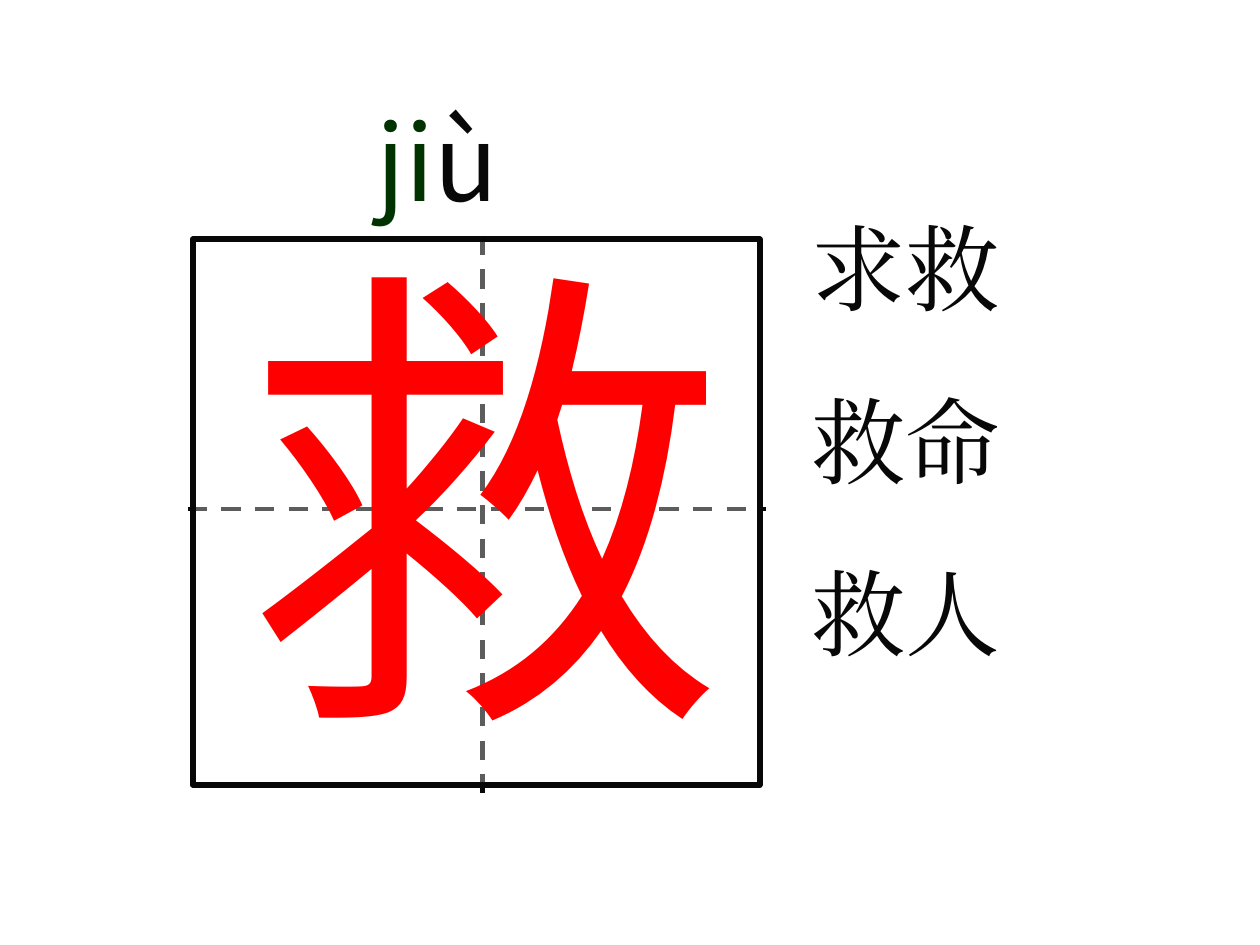
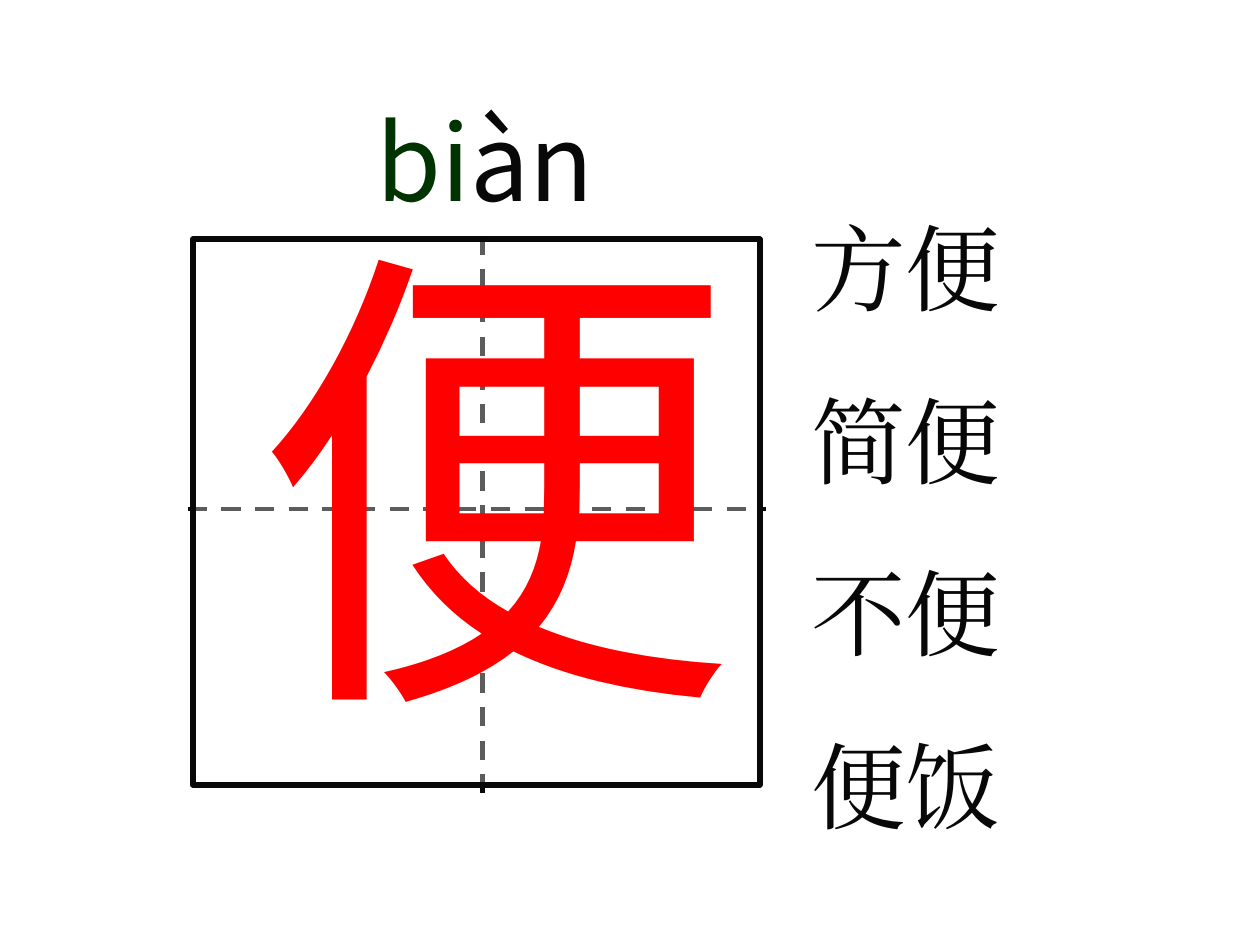
"""Builds two character cards: pinyin, a writing grid with the character, and sample words."""
from pptx import Presentation
from pptx.dml.color import RGBColor
from pptx.enum.dml import MSO_LINE_DASH_STYLE as Dash
from pptx.enum.shapes import MSO_CONNECTOR as Connector, MSO_SHAPE as Shape
from pptx.enum.text import MSO_ANCHOR as Anchor, PP_ALIGN as Align
from pptx.oxml.ns import qn
from pptx.util import Inches, Pt
from lxml import etree

CARDS = [
    {"pinyin": ("ji", "ù"), "character": "救", "at": (1.85, 1.55),
     "words": ["求救", "救命", "救人"]},
    {"pinyin": ("bi", "àn"), "character": "便", "at": (1.93, 1.39),
     "words": ["方便", "简便", "不便", "便饭"]},
]
INK, RED, GREEN, WHITE = "080808", "FF0000", "003300", "FFFFFF"
HAN_FONT, WORD_FONT = "Noto Sans CJK SC", "Times New Roman"
GRID_LINES = [(1.49, 4.04, 6.08, 4.04), (3.83, 1.87, 3.83, 6.29)]
GRID_BOX = (1.53, 1.9, 4.5, 4.33)
LINE_RATIO = 1.2
WORD_SIZE, WORD_GAP = 54, 33.8


def rgb(color):
    return RGBColor.from_string(color)


def inches(values):
    return [Inches(v) for v in values]


def add_line(shapes, ends):
    line = shapes.add_connector(Connector.STRAIGHT, *inches(ends))
    line.line.color.rgb = rgb(INK)
    line.line.width = Pt(2.75)
    line.line.dash_style = Dash.DASH
    etree.SubElement(line._element.spPr, qn("a:effectLst"))


def add_veil(shapes, box, opacity):
    sp = shapes.add_shape(Shape.RECTANGLE, *inches(box))
    sp.shadow.inherit = False
    sp.fill.solid()
    sp.fill.fore_color.rgb = rgb(WHITE)
    color = sp._element.spPr.find(qn("a:solidFill"))[0]
    etree.SubElement(color, qn("a:alpha")).set("val", str(opacity * 1000))
    sp.line.fill.background()
    return sp


def write(sp, paragraphs, size, font, gap=0, wrap=True):
    tf = sp.text_frame
    tf.word_wrap = wrap
    tf.vertical_anchor = Anchor.TOP
    for i, runs in enumerate(paragraphs):
        p = tf.add_paragraph() if i else tf.paragraphs[0]
        p.alignment = Align.LEFT
        p.line_spacing = Pt(size * LINE_RATIO)
        if i:
            p.space_before = Pt(gap)
        for text, color in runs:
            r = p.add_run()
            r.text = text
            r.font.size = Pt(size)
            r.font.color.rgb = rgb(color)
            r.font.name = font
            etree.SubElement(r._r.get_or_add_rPr(), qn("a:ea")).set("typeface", font)


def add_grid(slide):
    group = slide.shapes.add_group_shape()
    for ends in GRID_LINES:
        add_line(group.shapes, ends)
    frame = add_veil(group.shapes, GRID_BOX, 34)
    frame.line.color.rgb = rgb(INK)
    frame.line.width = Pt(3.25)


def add_card(prs, card):
    slide = prs.slides.add_slide(prs.slide_layouts[6])
    add_grid(slide)

    character = slide.shapes.add_textbox(*inches((*card["at"], 4.02, 4.69)))
    write(character, [[(card["character"], RED)]], 275, HAN_FONT, wrap=False)

    count = len(card["words"])
    height = 0.1 + (count * WORD_SIZE * LINE_RATIO + (count - 1) * WORD_GAP) / 72
    words = add_veil(slide.shapes, (6.34, 1.62, 3.46, height), 56)
    write(words, [[(word, INK)] for word in card["words"]], WORD_SIZE, WORD_FONT, WORD_GAP)

    pinyin = slide.shapes.add_textbox(*inches((2.89, 0.72, 2.52, 1.1)))
    write(pinyin, [list(zip(card["pinyin"], (GREEN, INK)))], 60, HAN_FONT)


def main():
    prs = Presentation()
    prs.slide_width, prs.slide_height = Inches(10), Inches(7.5)
    for card in CARDS:
        add_card(prs, card)
    prs.save("out.pptx")


if __name__ == "__main__":
    main()
